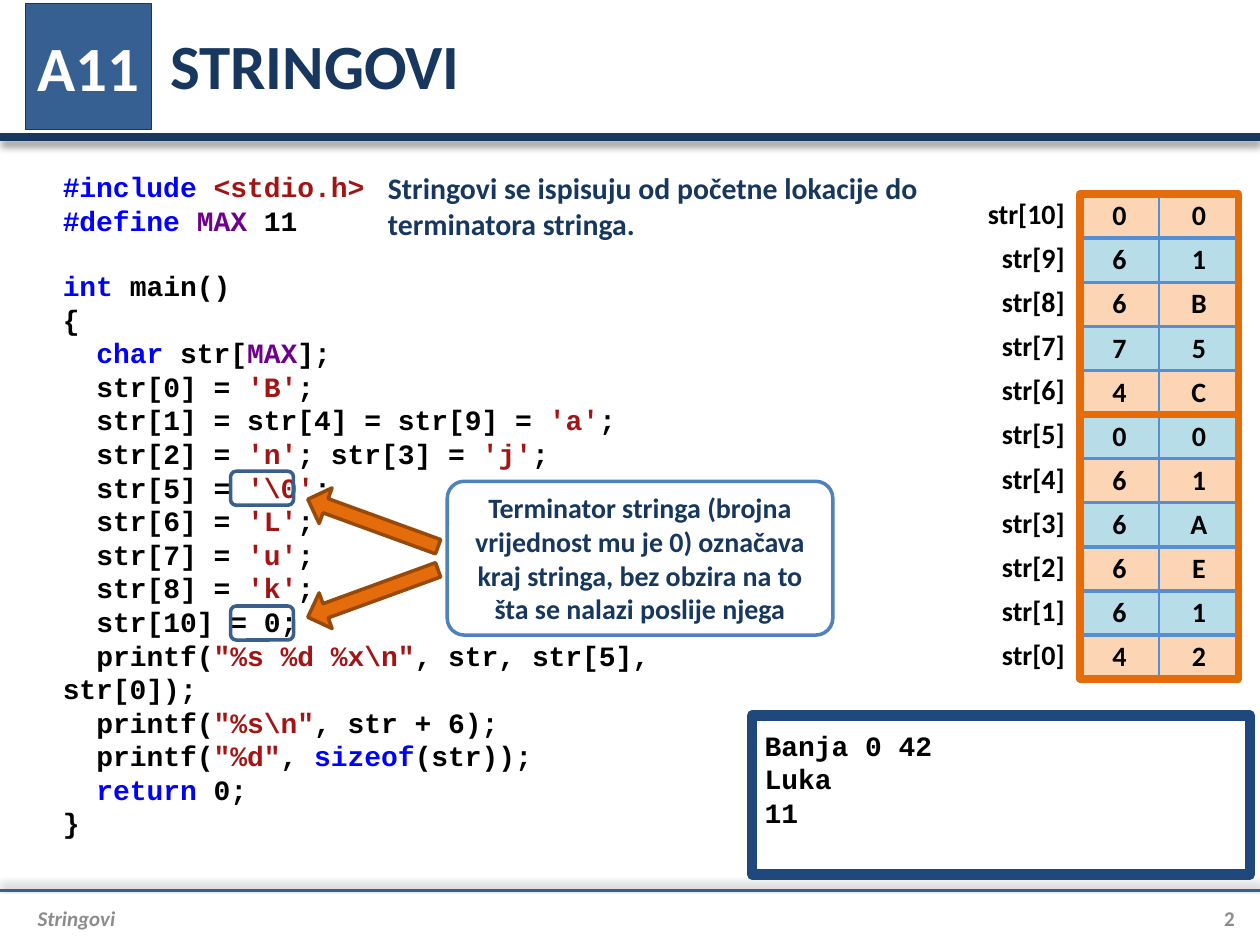
"""Build the STRINGOVI slide: string terminators in C, with code, memory map and output."""
from lxml import etree
from pptx import Presentation
from pptx import util as u
from pptx.dml.color import RGBColor
from pptx.enum import shapes, text
from pptx.oxml import ns

THEME = {
    "navy": "17375E", "blue": "376092", "outline": "3A5F8C", "accent": "4F81BD",
    "grid": "558ED5", "console": "1F497D", "orange": "E46C0A", "brown": "984807",
    "peach": "FCD5B5", "aqua": "B7DEE8", "white": "FFFFFF", "black": "000000",
    "grey": "8C8C8C", "keyword": "0000FF", "literal": "A31515", "macro": "6F008A",
    "sans": "Calibri", "mono": "Courier New",
    "title": 36, "note": 17, "body": 16, "footer": 12,
}

TITLE, BADGE, FOOTER, PAGE = "STRINGOVI", "A11", "Stringovi", "2"
NOTE = "Stringovi se ispisuju od početne lokacije do terminatora stringa."
CALLOUT = ("Terminator stringa (brojna vrijednost mu je 0) označava kraj stringa, "
           "bez obzira na to šta se nalazi poslije njega")
OUTPUT = ["Banja 0 42", "Luka", "11"]
KEYWORDS = {"#include", "#define", "int", "char", "sizeof", "return"}
CODE = [
    "#include| |<stdio.h>",
    "#define| |MAX| 11",
    "int| main()",
    "{",
    "char| str[|MAX|];",
    "str[0] = |'B'|;",
    "str[1] = str[4] = str[9] = |'a'|;",
    "str[2] = |'n'|; str[3] = |'j'|;",
    "str[5] = |'\\0'|;",
    "str[6] = |'L'|;",
    "str[7] = |'u'|;",
    "str[8] = |'k'|;",
    "str[10] = 0;",
    "printf(|\"%s %d %x\\n\"|, str, str[5], str[0]);",
    "printf(|\"%s\\n\"|, str + 6);",
    "printf(|\"%d\"|, |sizeof|(str));",
    "return| 0;",
    "}",
]
MEMORY = ["00", "61", "6B", "75", "4C", "00", "61", "6A", "6E", "61", "42"]
ROW = 0.35
UPPER_ROWS = 5
MEM_LEFT, MEM_TOP, MEM_WIDTH = 8.57, 1.54, 1.26
RULES = [(1.09, "navy", 4.5, 90), (7.07, "blue", 1.5, 270)]
MARK_TOPS = [3.74, 4.81]
ARROWS = [(4.56, 160), (4, 200)]

LEFT, CENTER, RIGHT = text.PP_ALIGN.LEFT, text.PP_ALIGN.CENTER, text.PP_ALIGN.RIGHT
TOP, MIDDLE = text.MSO_ANCHOR.TOP, text.MSO_ANCHOR.MIDDLE
KIND = shapes.MSO_SHAPE


def rgb(name):
    return RGBColor.from_string(THEME[name])


def box(*inches):
    return [u.Inches(v) for v in inches]


def add_run(p, words, size="body", color="black", font="sans", italic=None):
    r = p.add_run()
    r.text = words
    r.font.name, r.font.size = THEME[font], u.Pt(THEME[size])
    r.font.bold, r.font.italic = True, italic
    r.font.color.rgb = rgb(color)


def frame(sp, anchor=TOP, insets=(0.1, 0.05, 0.1, 0.05)):
    tf = sp.text_frame
    tf.word_wrap, tf.auto_size = True, text.MSO_AUTO_SIZE.NONE
    tf.vertical_anchor = anchor
    tf.margin_left, tf.margin_top, tf.margin_right, tf.margin_bottom = box(*insets)
    return tf


def paragraph(tf, index=0, align=LEFT):
    p = tf.paragraphs[0] if index == 0 else tf.add_paragraph()
    p.alignment = align
    return p


def paint(sp, fill, line, width):
    if fill:
        sp.fill.solid()
        sp.fill.fore_color.rgb = rgb(fill)
    else:
        sp.fill.background()
    sp.line.color.rgb = rgb(line)
    sp.line.width = u.Pt(width)


def add_shape(s, kind, at, fill, line, width):
    sp = s.shapes.add_shape(kind, *box(*at))
    sp.shadow.inherit = False
    paint(sp, fill, line, width)
    return sp


def add_label(s, at, words, anchor=TOP, insets=(0.1, 0.05, 0.1, 0.05), align=LEFT, **style):
    tf = frame(s.shapes.add_textbox(*box(*at)), anchor, insets)
    add_run(paragraph(tf, align=align), words, **style)


def add_rule(s, y, color, width, angle):
    line = s.shapes.add_connector(shapes.MSO_CONNECTOR.STRAIGHT, *box(0, y, 10, y))
    line.line.color.rgb = rgb(color)
    line.line.width = u.Pt(width)
    effects = etree.SubElement(line._element.spPr, ns.qn("a:effectLst"))
    shadow = etree.SubElement(effects, ns.qn("a:outerShdw"), blurRad=str(u.Pt(4)),
                              dist=str(u.Pt(3)), dir=str(angle * 60000), rotWithShape="0")
    tint = etree.SubElement(shadow, ns.qn("a:srgbClr"), val=THEME["black"])
    etree.SubElement(tint, ns.qn("a:alpha"), val="40000")


def add_headings(s):
    title = s.shapes.title
    title.left, title.top, title.width, title.height = box(1.25, 0.01, 8.55, 1)
    add_run(paragraph(frame(title, MIDDLE)), TITLE, "title", "navy")
    badge = s.placeholders[1]
    badge.left, badge.top, badge.width, badge.height = box(0.2, 0.03, 1, 1)
    paint(badge, "blue", "navy", 0.75)
    p = paragraph(frame(badge, MIDDLE, (0, 0, 0, 0)), align=CENTER)
    p.space_before = u.Pt(0)
    pPr = p._p.get_or_add_pPr()
    pPr.set("marL", "0")
    pPr.set("indent", "0")
    etree.SubElement(pPr, ns.qn("a:buNone"))
    add_run(p, BADGE, "title", "white")


def token_color(token):
    if token in KEYWORDS:
        return "keyword"
    if token == "MAX":
        return "macro"
    return "literal" if token[0] in "'\"<" else "black"


def add_code(s):
    tf = frame(s.shapes.add_textbox(*box(0.4, 1.3, 5.8, 5.22)))
    body = range(CODE.index("{") + 1, CODE.index("}"))
    for i, line in enumerate(CODE):
        p = paragraph(tf, i)
        if line.startswith("int"):
            p.space_before = u.Pt(18)
        if i in body:
            p._p.get_or_add_pPr().set("indent", str(u.Pt(19.2)))
        for token in line.split("|"):
            add_run(p, token, color=token_color(token), font="mono")


def add_border(cell, side, width):
    ln = etree.SubElement(cell._tc.get_or_add_tcPr(), ns.qn("a:ln" + side), w=str(u.Pt(width)))
    fill = etree.SubElement(ln, ns.qn("a:solidFill"))
    etree.SubElement(fill, ns.qn("a:srgbClr"), val=THEME["grid"])


def add_grid(s, left, top, width, rows, align, fills=None):
    cols = len(rows[0])
    table = s.shapes.add_table(len(rows), cols,
                               *box(left, top, width, ROW * len(rows))).table
    table.first_row = table.horz_banding = False
    for i, row in enumerate(rows):
        table.rows[i].height = u.Inches(ROW)
        for j, value in enumerate(row):
            cell = table.cell(i, j)
            cell.margin_left = cell.margin_top = cell.margin_right = cell.margin_bottom = 0
            cell.vertical_anchor = MIDDLE
            if fills:
                for side, weight in (("L", 1 if j else 2.25), ("R", 1), ("T", 2.25), ("B", 2.25)):
                    add_border(cell, side, weight)
                cell.fill.solid()
                cell.fill.fore_color.rgb = rgb(fills[i % len(fills)])
            else:
                cell.fill.background()
            add_run(paragraph(cell.text_frame, align=align), value)


def add_memory(s):
    count = len(MEMORY)
    add_grid(s, MEM_LEFT, MEM_TOP, MEM_WIDTH, MEMORY, CENTER, ("peach", "aqua"))
    for first, last in ((UPPER_ROWS, count), (0, UPPER_ROWS)):
        at = (MEM_LEFT, MEM_TOP + first * ROW, MEM_WIDTH, (last - first) * ROW)
        add_shape(s, KIND.RECTANGLE, at, None, "orange", 4.5)
    names = [[f"str[{i}]"] for i in reversed(range(count))]
    add_grid(s, 7.44, 1.53, 1.01, names, RIGHT)


def add_callout(s):
    for top in MARK_TOPS:
        add_shape(s, KIND.ROUNDED_RECTANGLE, (1.83, top, 0.5, 0.27), None, "outline", 2)
    for top, angle in ARROWS:
        arrow = add_shape(s, KIND.RIGHT_ARROW, (2.41, top, 1.1, 0.3), "orange", "brown", 2)
        arrow.rotation = angle
        arrow.adjustments[0] = 0.4
    sp = add_shape(s, KIND.ROUNDED_RECTANGLE, (3.55, 3.82, 3.06, 1.22), "white", "accent", 2)
    sp.adjustments[0] = 0.11
    add_run(paragraph(frame(sp, MIDDLE), align=CENTER), CALLOUT, color="navy")


def main():
    prs = Presentation()
    prs.slide_width, prs.slide_height = box(10, 7.5)
    s = prs.slides.add_slide(prs.slide_layouts[1])
    for rule in RULES:
        add_rule(s, *rule)
    add_headings(s)
    add_label(s, (0.2, 7.11, 9.1, 0.35), FOOTER, MIDDLE, (0.1, 0, 0, 0),
              size="footer", color="grey", italic=True)
    add_label(s, (9.3, 7.11, 0.5, 0.35), PAGE, MIDDLE, (0, 0, 0, 0), RIGHT,
              size="footer", color="grey")
    add_code(s)
    add_callout(s)
    add_label(s, (2.98, 1.3, 4.58, 0.67), NOTE, size="note", color="navy")
    add_memory(s)
    console = add_shape(s, KIND.RECTANGLE, (5.97, 5.68, 3.95, 1.26), "white", "console", 6)
    tf = frame(console, insets=(0.1, 0.1, 0.1, 0.1))
    for i, line in enumerate(OUTPUT):
        add_run(paragraph(tf, i), line, font="mono")
    prs.save("out.pptx")


if __name__ == "__main__":
    main()
